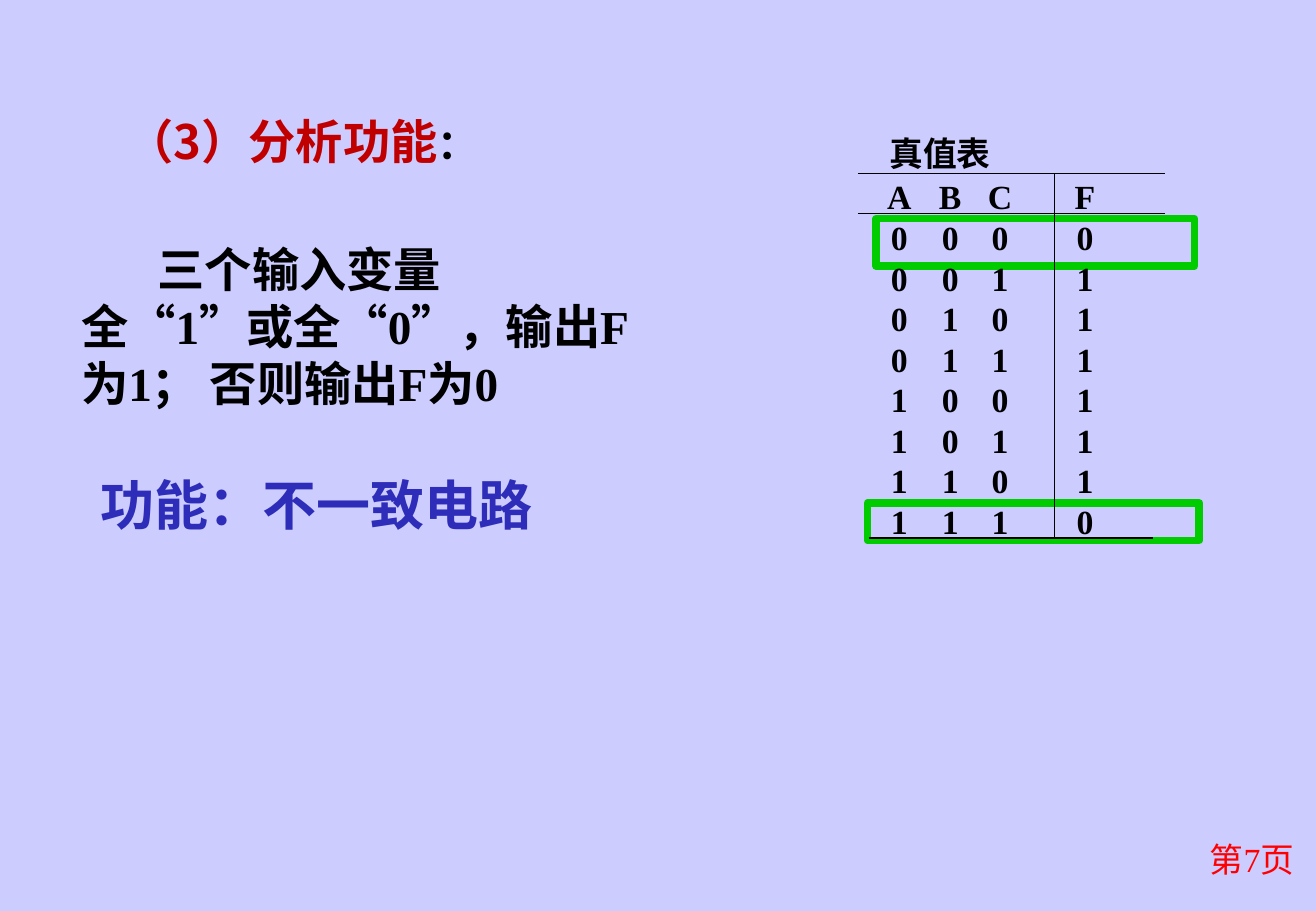
"""Build the truth-table analysis slide."""
from dataclasses import dataclass

from lxml import etree
from pptx import Presentation
from pptx.dml.color import RGBColor
from pptx.enum import shapes, text
from pptx.oxml import ns
from pptx.util import Inches, Pt


@dataclass(frozen=True)
class Theme:
    """Colours, fonts and type sizes of the slide."""
    back: str = "CCCCFF"
    ink: str = "000000"
    title: str = "C00000"
    result: str = "2D2DB9"
    page: str = "FF0000"
    frame: str = "00CC00"
    serif: str = "Times New Roman"
    sans: str = "Noto Sans CJK SC"
    sans_jp: str = "Noto Sans CJK JP"
    small: int = 20
    colon: int = 24
    body: int = 28
    large: int = 32
    leading: int = 34


T = Theme()
NO_GRID = "{2D5ABB26-0587-4C30-8999-92F81FD0307C}"
HEADER = "ABCF"
INPUTS = [f"{n:03b}" for n in range(8)]
ROWS = [HEADER] + [bits + str(int(len(set(bits)) > 1)) for bits in INPUTS]
COLUMN_WIDTHS = (0.42, 0.42, 0.4, 1)
ROW_HEIGHT = 0.333


def style_run(r, size, color=T.ink, font=T.serif, asian=T.sans, bold=True):
    """Set the fonts, size, weight and colour of a run."""
    r.font.name, r.font.size, r.font.bold = font, Pt(size), bold
    r.font.color.rgb = RGBColor.from_string(color)
    ea = etree.Element(ns.qn("a:ea"), typeface=asian)
    r.font._element.find(ns.qn("a:latin")).addnext(ea)


def add_text(s, box, words, size, wrap=False, **look):
    """Add a text box with one paragraph and return the paragraph."""
    tf = s.shapes.add_textbox(*map(Inches, box)).text_frame
    tf.word_wrap = wrap
    p = tf.paragraphs[0]
    p.text = words
    style_run(p.runs[0], size, **look)
    return p


def add_title(s):
    """Place and format the title placeholder."""
    sp = s.shapes.title
    sp.left, sp.top, sp.width, sp.height = map(Inches, (0.82, 0.87, 3, 0.57))
    tf = sp.text_frame
    tf.word_wrap, tf.auto_size = True, text.MSO_AUTO_SIZE.NONE
    tf.vertical_anchor = text.MSO_ANCHOR.MIDDLE
    p = tf.paragraphs[0]
    p.text = "（3）分析功能"
    p.alignment, p.line_spacing = text.PP_ALIGN.CENTER, Pt(T.leading)
    style_run(p.runs[0], T.body, T.title, T.sans)
    r = p.add_run()
    r.text = "："
    style_run(r, T.colon)


def add_explanation(s):
    """Add the indented explanation paragraph."""
    p = add_text(s, (0.57, 1.92, 4.84, 1.52),
                 "三个输入变量全“1”或全“0”，输出F为1； 否则输出F为0",
                 T.body, wrap=True)
    p.line_spacing = Pt(T.leading)
    p._p.get_or_add_pPr().set("indent", str(Inches(0.63)))


def add_frame(s, box):
    """Add a green highlight frame."""
    sp = s.shapes.add_shape(shapes.MSO_SHAPE.RECTANGLE, *map(Inches, box))
    sp.shadow.inherit = False
    sp.fill.background()
    sp.line.color.rgb = RGBColor.from_string(T.frame)
    sp.line.width = Pt(4.5)


def add_rule(s, x1, y1, x2, y2):
    """Add a thin straight rule."""
    line = s.shapes.add_connector(shapes.MSO_CONNECTOR.STRAIGHT,
                                  *map(Inches, (x1, y1, x2, y2)))
    line.line.color.rgb = RGBColor.from_string(T.ink)
    line.line.width = Pt(0.75)
    etree.SubElement(line._element.spPr, ns.qn("a:effectLst"))


def add_truth_table(s, left, top):
    """Add the truth table with plain, centred cells."""
    table = s.shapes.add_table(
        len(ROWS), len(HEADER), Inches(left), Inches(top),
        Inches(sum(COLUMN_WIDTHS)), Inches(ROW_HEIGHT * len(ROWS))).table
    table.first_row = table.horz_banding = False
    table._tbl.tblPr.find(ns.qn("a:tableStyleId")).text = NO_GRID
    for column, width in zip(table.columns, COLUMN_WIDTHS):
        column.width = Inches(width)
    for row, values in zip(table.rows, ROWS):
        row.height = Inches(ROW_HEIGHT)
        for cell, value in zip(row.cells, values):
            cell.fill.background()
            cell.margin_top = cell.margin_bottom = 0
            cell.margin_left = cell.margin_right = 0
            p = cell.text_frame.paragraphs[0]
            p.text = value
            p.alignment = text.PP_ALIGN.CENTER
            style_run(p.runs[0], T.small, asian=T.serif)


def main():
    """Assemble and save the slide."""
    prs = Presentation()
    prs.slide_width, prs.slide_height = Inches(10.83), Inches(7.5)
    s = prs.slides.add_slide(prs.slide_layouts.get_by_name("Title Only"))
    s.background.fill.solid()
    s.background.fill.fore_color.rgb = RGBColor.from_string(T.back)

    add_title(s)
    page = add_text(s, (8.49, 6.86, 2.26, 0.5), "第7页", T.small, wrap=True,
                    color=T.page, bold=False)
    page.alignment = text.PP_ALIGN.RIGHT
    add_frame(s, (7.21, 1.8, 2.62, 0.39))
    add_frame(s, (7.14, 4.14, 2.73, 0.31))
    add_explanation(s)
    add_truth_table(s, 7.19, 1.48)
    for rule in ((7.06, 1.43, 9.59, 1.43), (7.06, 1.76, 9.59, 1.76),
                 (8.68, 1.43, 8.68, 4.43), (7.15, 4.43, 9.49, 4.43)):
        add_rule(s, *rule)
    add_text(s, (7.22, 1.04, 1.13, 0.43), "真值表", T.small)
    add_text(s, (0.73, 3.83, 3.79, 0.64), "功能：不一致电路", T.large,
             color=T.result, font=T.sans_jp, asian=T.sans_jp)
    prs.save("out.pptx")


if __name__ == "__main__":
    main()
